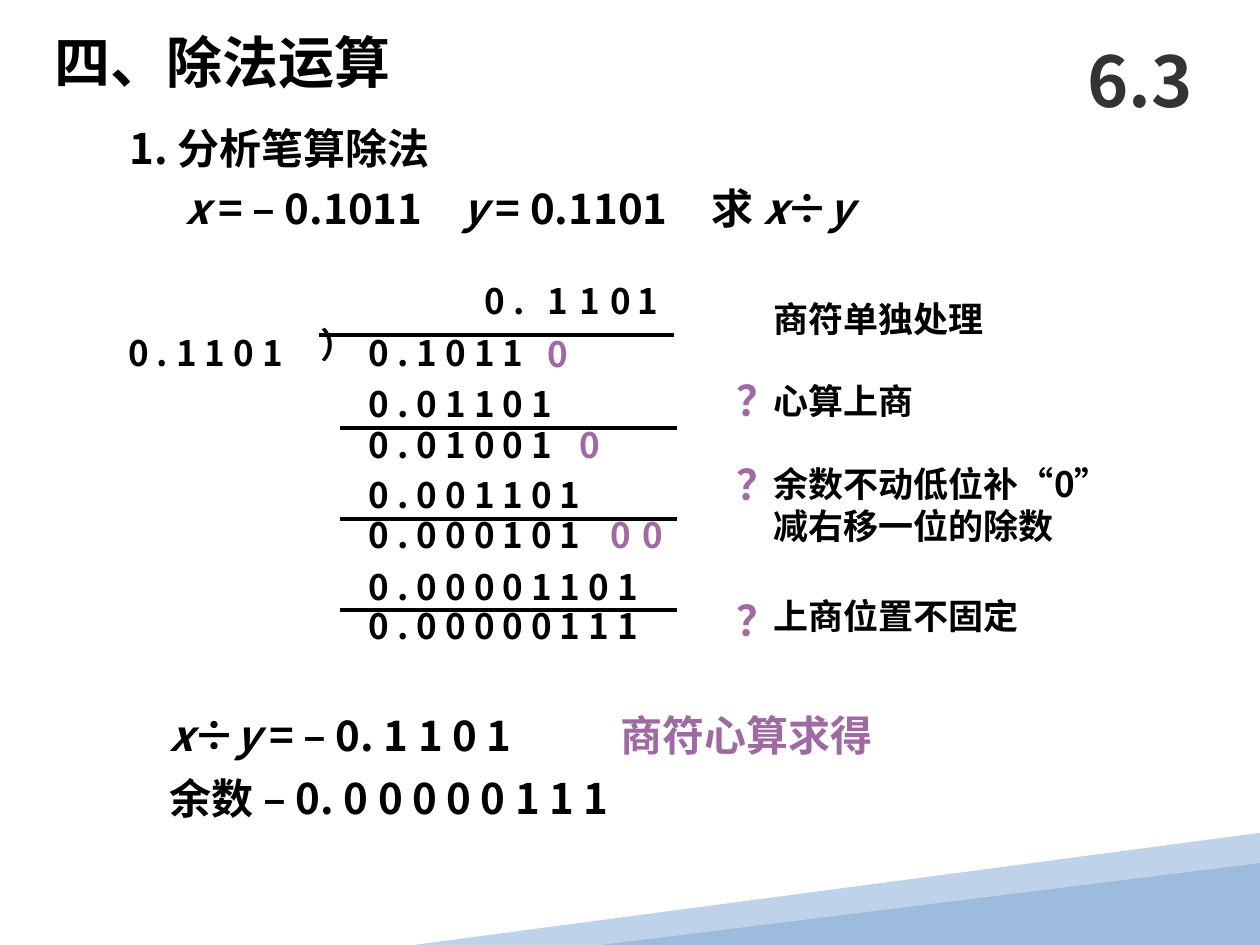
from dataclasses import dataclass
from itertools import groupby

from lxml.etree import SubElement
from pptx import Presentation
from pptx.dml.color import RGBColor
from pptx.enum.shapes import MSO_CONNECTOR, MSO_SHAPE
from pptx.enum.text import MSO_ANCHOR, MSO_AUTO_SIZE, PP_ALIGN
from pptx.oxml.ns import qn
from pptx.util import Inches, Pt


@dataclass(frozen=True)
class Theme:
    """Colours, font and type sizes of the slide."""
    font: str = "Noto Sans CJK SC"
    ink: str = "000000"
    accent: str = "9F69A3"
    number: str = "333333"
    light_band: str = "BED2E9"
    dark_band: str = "9DBCDD"
    section: int = 40
    title: int = 32
    body: int = 24
    digits: int = 20
    leading: float = 1.2
    rule: float = 2.25


THEME = Theme()


def add_span(para, text, size, color, italic):
    """Add one formatted run to a paragraph."""
    span = para.add_run()
    span.text = text
    font = span.font
    font.name, font.size, font.bold, font.italic = THEME.font, Pt(size), True, italic
    font.color.rgb = RGBColor.from_string(color)
    SubElement(font._element, qn("a:ea"), typeface=THEME.font)


def write_text(box, lines, size, color=THEME.ink, align=PP_ALIGN.LEFT, anchor=MSO_ANCHOR.TOP):
    """Write lines into a shape, with the variables x and y in italics."""
    frame = box.text_frame
    frame.word_wrap = True
    frame.auto_size = MSO_AUTO_SIZE.NONE
    frame.vertical_anchor = anchor
    for index, line in enumerate(lines):
        para = frame.add_paragraph() if index else frame.paragraphs[0]
        para.alignment = align
        para.line_spacing = Pt(size * THEME.leading)
        for italic, letters in groupby(line, key=lambda letter: letter in "xy"):
            add_span(para, "".join(letters), size, color, italic)


def add_text(page, left, top, width, text, size, color=THEME.ink, **layout):
    """Add a text box as high as its lines."""
    lines = text.split("\n")
    height = 0.1 + len(lines) * size * THEME.leading / 72
    box = page.shapes.add_textbox(Inches(left), Inches(top), Inches(width), Inches(height))
    write_text(box, lines, size, color, **layout)
    return box


def add_tab_stops(para, positions):
    """Set left tab stops, in inches, on a paragraph."""
    stops = SubElement(para._p.get_or_add_pPr(), qn("a:tabLst"))
    for position in positions:
        SubElement(stops, qn("a:tab"), pos=str(Inches(position)), algn="l")


def add_rule(page, left, right, top):
    """Draw a horizontal calculation line."""
    rule = page.shapes.add_connector(
        MSO_CONNECTOR.STRAIGHT, Inches(left), Inches(top), Inches(right), Inches(top))
    rule.line.color.rgb = RGBColor.from_string(THEME.ink)
    rule.line.width = Pt(THEME.rule)
    SubElement(rule._element.spPr, qn("a:effectLst"))


def fill_band(shape, color):
    """Give a decorative band a plain fill."""
    shape.shadow.inherit = False
    shape.fill.solid()
    shape.fill.fore_color.rgb = RGBColor.from_string(color)
    shape.line.fill.background()


def add_bands(page):
    """Draw the two slanted bands at the bottom."""
    corners = [(10, 6.61), (10, 7.44), (6.73, 7.5), (3.28, 7.5)]
    points = [(Inches(x), Inches(y)) for x, y in corners]
    builder = page.shapes.build_freeform(*points[0])
    builder.add_line_segments(points[1:], close=True)
    fill_band(builder.convert_to_shape(), THEME.light_band)
    triangle = page.shapes.add_shape(
        MSO_SHAPE.ISOSCELES_TRIANGLE, Inches(4.77), Inches(6.85), Inches(5.23), Inches(0.65))
    triangle.adjustments[0] = 1
    fill_band(triangle, THEME.dark_band)


def add_headings(page):
    """Place the title, section number, subtitle and problem."""
    title = page.shapes.title
    title.left, title.top, title.width, title.height = map(Inches, (0.33, 0.17, 3.75, 0.64))
    write_text(title, ["四、除法运算"], THEME.title)
    add_text(page, 8.42, 0.25, 1.25, "6.3", THEME.section, THEME.number,
             align=PP_ALIGN.CENTER, anchor=MSO_ANCHOR.MIDDLE)
    add_text(page, 0.93, 0.92, 3.68, "1. 分析笔算除法", THEME.body)
    problem = add_text(page, 1.37, 1.4, 6.42, "x = – 0.1011\ty = 0.1101\t求 x÷y", THEME.body)
    add_tab_stops(problem.text_frame.paragraphs[0], (2.2, 4.18))


def add_division(page):
    """Lay out the long division."""
    size = THEME.digits
    for left, digit in ((3.75, "0 ."), (4.25, "1"), (4.5, "1"), (4.75, "0"), (4.96, "1")):
        add_text(page, left, 2.17, 0.6, digit, size)
    add_text(page, 0.92, 2.58, 1.7, "0 . 1 1 0 1", size)
    bracket = add_text(page, 2.21, 2.52, 0.6, "⌒", size, align=PP_ALIGN.CENTER)
    bracket.rotation = 90
    rows = (
        (2.58, "0 . 1 0 1 1"),
        (2.99, "0 . 0 1 1 0 1"),
        (3.31, "0 . 0 1 0 0 1"),
        (3.71, "0 . 0 0 1 1 0 1"),
        (4.03, "0 . 0 0 0 1 0 1"),
        (4.44, "0 . 0 0 0 0 1 1 0 1"),
        (4.75, "0 . 0 0 0 0 0 1 1 1"),
    )
    for top, digits in rows:
        add_text(page, 2.83, top, 2.57, digits, size)
    for left, top in ((4.25, 2.59), (4.5, 3.31), (4.75, 4.03), (5, 4.03)):
        add_text(page, left, top, 0.67, "0", size, THEME.accent)
    add_rule(page, 2.53, 5.35, 2.66)
    for step in range(3):
        add_rule(page, 2.7, 5.37, 3.4 + 0.72 * step)


def add_remarks(page):
    """Add the remarks and their question marks."""
    remarks = (
        (2.31, "商符单独处理"),
        (2.96, "心算上商"),
        (3.62, "余数不动低位补“0”\n减右移一位的除数"),
        (4.67, "上商位置不固定"),
    )
    for top, remark in remarks:
        add_text(page, 6.04, top, 3.55, remark, THEME.digits)
    for top in (2.92, 3.59, 4.67):
        add_text(page, 5.75, top, 0.6, "？", THEME.body, THEME.accent)


def add_result(page):
    """State the quotient and the remainder."""
    add_text(page, 1.25, 5.58, 3.3, "x÷y = – 0. 1 1 0 1", THEME.body)
    add_text(page, 1.25, 6.08, 4.2, "余数 – 0. 0 0 0 0 0 1 1 1", THEME.body)
    add_text(page, 4.83, 5.58, 3.58, "商符心算求得", THEME.body, THEME.accent)


def main():
    """Build the slide and save it."""
    deck = Presentation()
    deck.slide_width, deck.slide_height = Inches(10), Inches(7.5)
    page = deck.slides.add_slide(deck.slide_layouts[5])
    add_bands(page)
    add_headings(page)
    add_division(page)
    add_remarks(page)
    add_result(page)
    deck.save("out.pptx")


if __name__ == "__main__":
    main()
